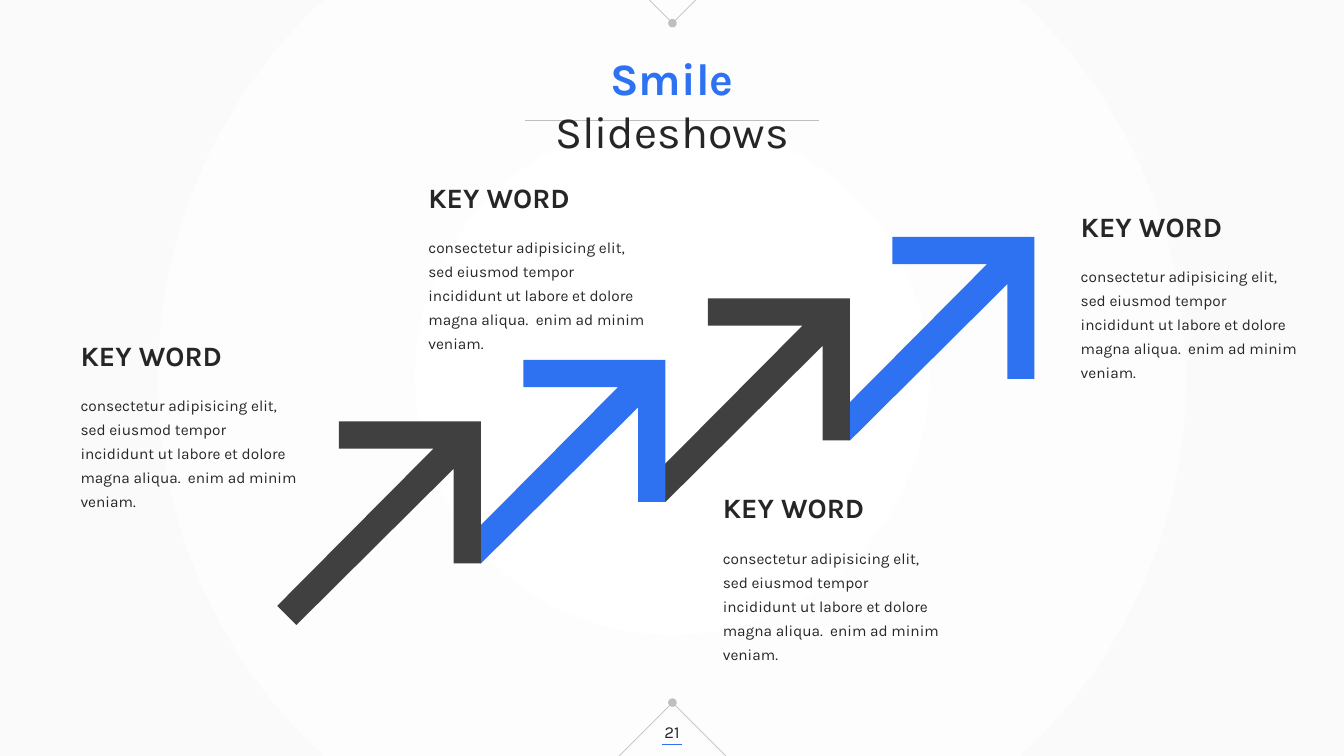
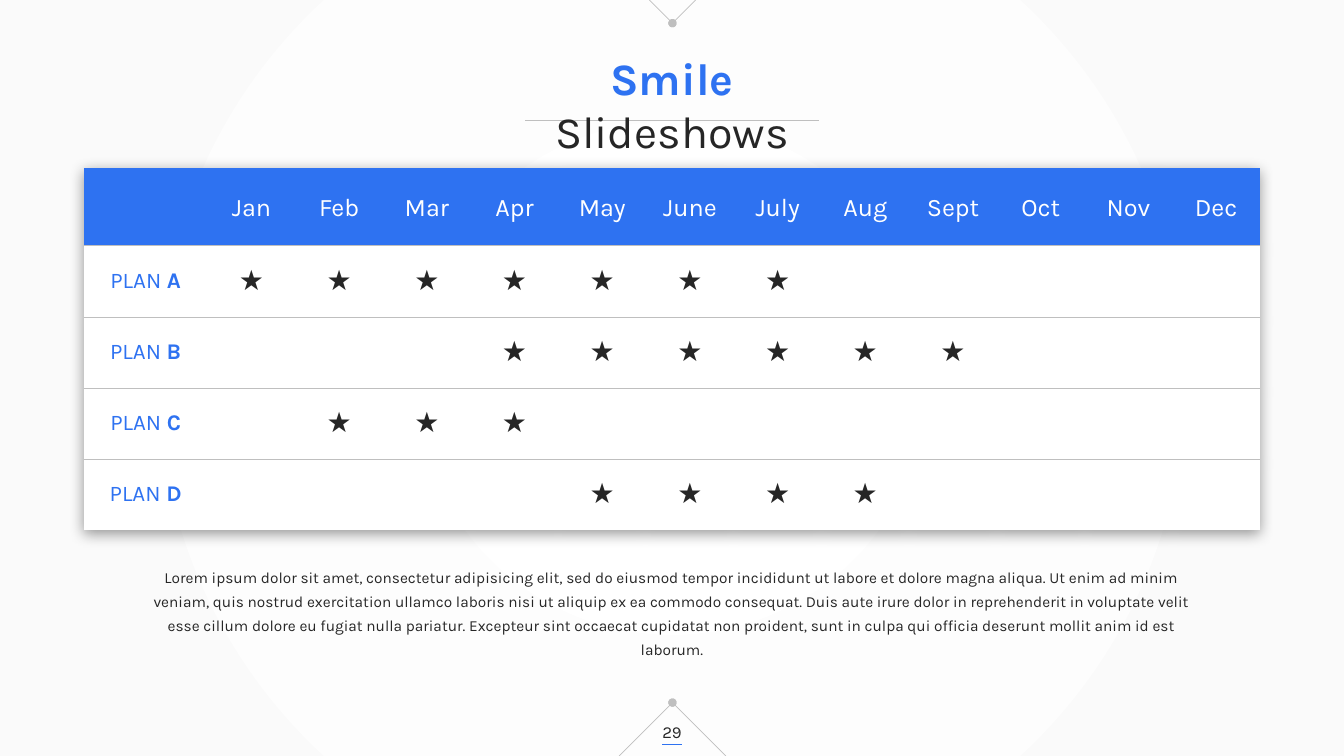
"""Build an arrow-steps slide and a yearly plan slide."""
import dataclasses
import typing

import lxml.etree
import pptx
import pptx.dml.color
import pptx.enum.shapes
import pptx.enum.text
import pptx.oxml
import pptx.oxml.ns
import pptx.util

Inches = pptx.util.Inches
Pt = pptx.util.Pt
ALIGN = pptx.enum.text.PP_ALIGN
ANCHOR = pptx.enum.text.MSO_ANCHOR
qn = pptx.oxml.ns.qn

FONT = "Karla"
BLUE, INK, CHARCOAL = "2E72F1", "262626", "404040"
RULE, WHITE, EDGE = "BFBFBF", "FFFFFF", "FAFAFA"
CENTER_X, PAGE_W, PAGE_H = 6.67, 13.33, 7.5
NO_STYLE = "{2D5ABB26-0587-4C30-8999-92F81FD0307C}"

KEY_TEXT = ("consectetur adipisicing elit, sed eiusmod tempor incididunt ut labore "
            "et dolore magna aliqua.  enim ad minim veniam.")
PLAN_TEXT = (
    "Lorem ipsum dolor sit amet, consectetur adipisicing elit, sed do eiusmod tempor "
    "incididunt ut labore et dolore magna aliqua. Ut enim ad minim veniam, quis nostrud "
    "exercitation ullamco laboris nisi ut aliquip ex ea commodo consequat. Duis aute irure "
    "dolor in reprehenderit in voluptate velit esse cillum dolore eu fugiat nulla pariatur. "
    "Excepteur sint occaecat cupidatat non proident, sunt in culpa qui officia deserunt "
    "mollit anim id est laborum.")
MONTHS = ("Jan", "Feb", "Mar", "Apr", "May", "June",
          "July", "Aug", "Sept", "Oct", "Nov", "Dec")
ARROW = ((3.36, 4.18), (4.77, 4.18), (4.77, 5.59), (4.5, 5.59), (4.5, 4.65),
         (2.94, 6.2), (2.75, 6.01), (4.3, 4.45), (3.36, 4.45))
ARROW_STEP = (1.83, -0.61)


@dataclasses.dataclass(frozen=True)
class Span:
    """A run of text with its format."""
    text: str
    size: float
    color: str = INK
    bold: bool = False


@dataclasses.dataclass(frozen=True)
class Line:
    """A straight line, with an optional dot at its end."""
    start: tuple[float, float]
    end: tuple[float, float]
    color: str = RULE
    dot: bool = False


@dataclasses.dataclass(frozen=True)
class KeyWord:
    """The top left corner of a heading and its text."""
    left: float
    top: float


@dataclasses.dataclass(frozen=True)
class Plan:
    """A plan with its first and last month, counted from 1."""
    letter: str
    first: int
    last: int


LINES = (
    Line((5.21, 1.19), (8.12, 1.19)),
    *(Line((CENTER_X + side * 0.53, PAGE_H), (CENTER_X, 6.97), dot=True) for side in (1, -1)),
    *(Line((CENTER_X + side * 0.23, 0), (CENTER_X, 0.23), dot=True) for side in (-1, 1)),
    Line((6.57, 7.38), (6.76, 7.38), BLUE),
)
KEY_WORDS = (KeyWord(0.7, 3.31), KeyWord(4.15, 1.74), KeyWord(7.07, 4.82), KeyWord(10.62, 2.03))
PLANS = (Plan("A", 1, 7), Plan("B", 4, 9), Plan("C", 2, 4), Plan("D", 5, 8))


def rgb(color: str) -> pptx.dml.color.RGBColor:
    """Return the colour of a hex string."""
    return pptx.dml.color.RGBColor.from_string(color)


def apply(target: typing.Any, values: dict[str, typing.Any]) -> None:
    """Set each named attribute of the target."""
    for name, value in values.items():
        setattr(target, name, value)


def paint(shape: typing.Any, color: str) -> None:
    """Give a shape or cell a plain fill."""
    shape.fill.solid()
    shape.fill.fore_color.rgb = rgb(color)


def write(para: typing.Any, spans: typing.Sequence[Span], align: typing.Any = ALIGN.LEFT,
          spacing: float = 1.0) -> None:
    """Add formatted spans to a paragraph."""
    apply(para, {"alignment": align, "line_spacing": spacing, "space_before": Pt(0)})
    for span in spans:
        run = para.add_run()
        run.text = span.text
        apply(run.font, {"name": FONT, "size": Pt(span.size), "bold": span.bold})
        run.font.color.rgb = rgb(span.color)


def add_text(page: typing.Any, area: tuple[float, float, float, float], span: Span,
             align: typing.Any = ALIGN.LEFT, spacing: float = 1.0,
             anchor: typing.Any = ANCHOR.TOP) -> None:
    """Add a wrapping text box."""
    frame = page.shapes.add_textbox(*map(Inches, area)).text_frame
    apply(frame, {"word_wrap": True, "vertical_anchor": anchor})
    write(frame.paragraphs[0], [span], align, spacing)


def add_line(page: typing.Any, line: Line) -> typing.Any:
    """Draw a thin line without shadow."""
    connector = page.shapes.add_connector(
        pptx.enum.shapes.MSO_CONNECTOR.STRAIGHT, *map(Inches, line.start + line.end))
    connector.line.width = Pt(0.5)
    connector.line.color.rgb = rgb(line.color)
    if line.dot:
        lxml.etree.SubElement(connector.line._get_or_add_ln(), qn("a:tailEnd"), type="oval")
    lxml.etree.SubElement(connector.element.spPr, qn("a:effectLst"))
    return connector


def style_master(deck: typing.Any) -> None:
    """Give the master its soft round gradient."""
    fill = deck.slide_master.background.fill
    fill.gradient()
    for stop, color, position in zip(fill.gradient_stops, (WHITE, EDGE), (0, 1)):
        stop.color.rgb = rgb(color)
        stop.position = position
    linear = next(deck.slide_master.element.iter(qn("a:lin")))
    circle = lxml.etree.Element(qn("a:path"), path="circle")
    lxml.etree.SubElement(circle, qn("a:fillToRect"),
                          {side: "50000" for side in "ltrb"})
    linear.getparent().replace(linear, circle)


def style_layout(page: typing.Any) -> None:
    """Draw the shared lines and hand them to the layout."""
    for line in LINES:
        page.slide_layout.shapes.element.append(add_line(page, line).element)


def add_page(deck: typing.Any, number: int) -> typing.Any:
    """Add a page with its title and number."""
    page = deck.slides.add_slide(deck.slide_layouts[5])
    title = page.shapes.title
    apply(title, {"left": Inches(4.81), "top": Inches(0.45),
                  "width": Inches(3.71), "height": Inches(0.64)})
    apply(title.text_frame, {"vertical_anchor": ANCHOR.TOP, "word_wrap": True,
                             "auto_size": pptx.enum.text.MSO_AUTO_SIZE.NONE})
    para = title.text_frame.paragraphs[0]
    write(para, [Span("Smile", 32, BLUE, True)], ALIGN.CENTER)
    para.add_line_break()
    write(para, [Span("Slideshows", 32)], ALIGN.CENTER)
    add_text(page, (6.32, 7.06, 0.69, 0.4), Span(str(number), 12), ALIGN.CENTER,
             anchor=ANCHOR.MIDDLE)
    return page


def add_arrow(page: typing.Any, index: int) -> None:
    """Draw one arrow of the rising chain."""
    points = [tuple(Inches(value + index * step) for value, step in zip(point, ARROW_STEP))
              for point in ARROW]
    builder = page.shapes.build_freeform(*points[0])
    builder.add_line_segments(points[1:], close=True)
    arrow = builder.convert_to_shape()
    arrow.shadow.inherit = False
    paint(arrow, BLUE if index % 2 else CHARCOAL)
    arrow.line.fill.background()


def add_key_word(page: typing.Any, item: KeyWord) -> None:
    """Add a heading with its text below."""
    add_text(page, (item.left, item.top + 0.52, 2.39, 1.04), Span(KEY_TEXT, 11), spacing=1.3)
    add_text(page, (item.left, item.top, 2.39, 0.44), Span("KEY WORD", 20, bold=True))


def add_border(cell: typing.Any, sides: typing.Sequence[str]) -> None:
    """Draw grey rules on the given sides of a cell."""
    for position, side in enumerate(sides):
        border = pptx.oxml.parse_xml(
            f'<a:{side} xmlns:a="http://schemas.openxmlformats.org/drawingml/2006/main" '
            f'w="{Pt(0.75)}"><a:solidFill><a:srgbClr val="{RULE}"/></a:solidFill></a:{side}>')
        cell._tc.get_or_add_tcPr().insert(position, border)


def add_shadow(table: typing.Any) -> None:
    """Give the table a soft shadow and no preset style."""
    properties = table._tbl.tblPr
    properties.find(qn("a:tableStyleId")).text = NO_STYLE
    properties.insert(0, pptx.oxml.parse_xml(
        '<a:effectLst xmlns:a="http://schemas.openxmlformats.org/drawingml/2006/main">'
        f'<a:outerShdw blurRad="{Inches(0.14)}" dist="{Inches(0.03)}" dir="5400000">'
        '<a:srgbClr val="000000"><a:alpha val="40000"/></a:srgbClr>'
        '</a:outerShdw></a:effectLst>'))


def plan_spans(plan: Plan) -> list[list[Span]]:
    """Return the cells of one plan row."""
    label = [Span("PLAN", 16, BLUE), Span(f" {plan.letter}", 16, BLUE, True)]
    stars = [[Span("★", 20)] if plan.first <= month <= plan.last else []
             for month in range(1, len(MONTHS) + 1)]
    return [label, *stars]


def add_plan_table(page: typing.Any) -> None:
    """Add the table of plans by month."""
    rows = [[[], *([Span(month, 18, WHITE)] for month in MONTHS)], *map(plan_spans, PLANS)]
    table = page.shapes.add_table(len(rows), len(rows[0]), Inches(0.83), Inches(1.67),
                                  Inches(11.67), Inches(3.6)).table
    apply(table, {"first_row": False, "horz_banding": False})
    add_shadow(table)
    for index, column in enumerate(table.columns):
        column.width = Inches(0.87 if index else 1.23)
    for index, (row, contents) in enumerate(zip(table.rows, rows)):
        row.height = Inches(0.705 if index else 0.77)
        sides = ["lnT"] * (index > 0) + ["lnB"] * (index < len(PLANS))
        for cell, spans in zip(row.cells, contents):
            cell.vertical_anchor = ANCHOR.MIDDLE
            if not index:
                apply(cell, {"margin_left": Inches(0.01), "margin_right": Inches(0.01),
                             "margin_top": Inches(0.01), "margin_bottom": Inches(0)})
            write(cell.text_frame.paragraphs[0], spans, ALIGN.CENTER)
            paint(cell, WHITE if index else BLUE)
            add_border(cell, sides)


def main() -> None:
    """Build and save the deck."""
    deck = pptx.Presentation()
    apply(deck, {"slide_width": Inches(PAGE_W), "slide_height": Inches(PAGE_H)})
    style_master(deck)

    steps = add_page(deck, 21)
    style_layout(steps)
    for index in reversed(range(len(KEY_WORDS))):
        add_arrow(steps, index)
    for item in KEY_WORDS:
        add_key_word(steps, item)

    plans = add_page(deck, 29)
    add_plan_table(plans)
    add_text(plans, (1.32, 5.53, 10.69, 0.82), Span(PLAN_TEXT, 11), ALIGN.CENTER, 1.3)
    deck.save("out.pptx")


if __name__ == "__main__":
    main()
